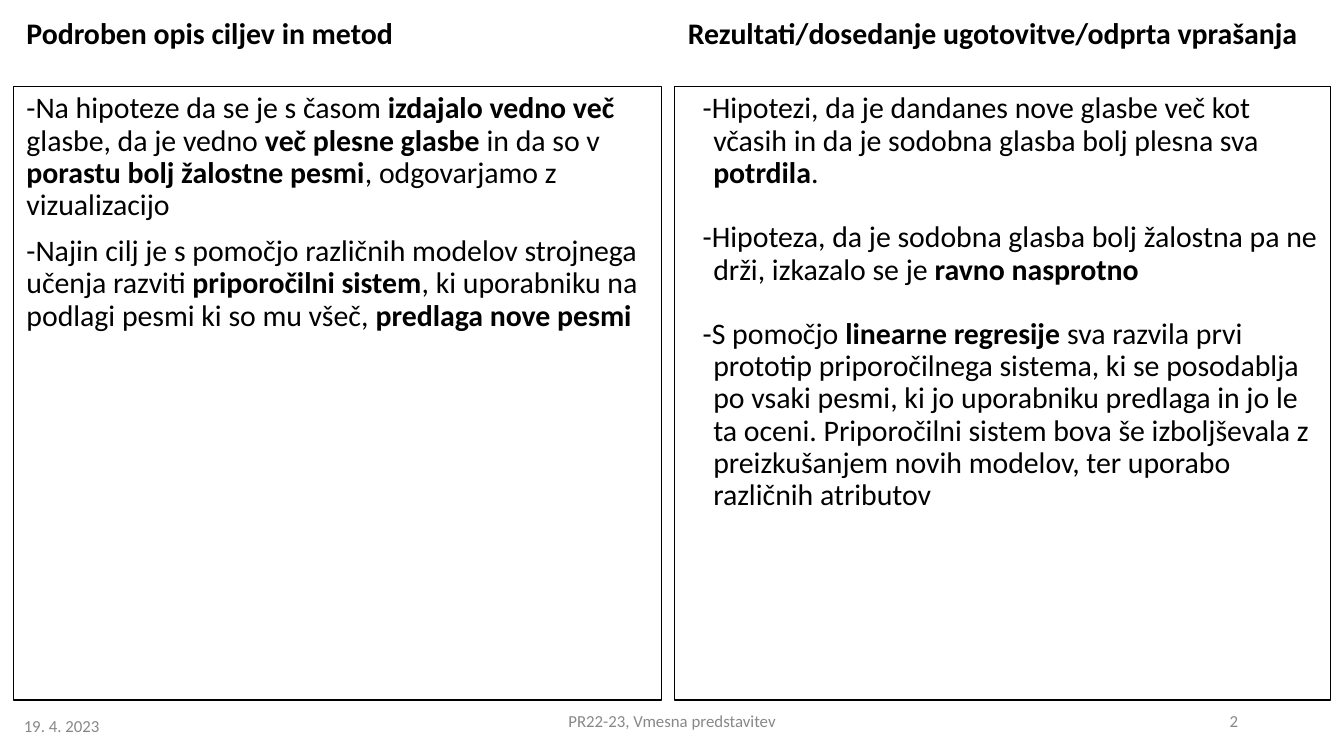
from dataclasses import dataclass
from lxml.etree import SubElement
from pptx import Presentation
from pptx.dml.color import RGBColor
from pptx.enum.text import MSO_ANCHOR, MSO_AUTO_SIZE, PP_ALIGN
from pptx.oxml.ns import qn
from pptx.util import Cm, Pt


@dataclass
class Theme:
    font: str = "Calibri"
    ink: RGBColor = RGBColor(0, 0, 0)
    muted: RGBColor = RGBColor(0x88, 0x88, 0x88)
    text_size: Pt = Pt(16)
    footer_size: Pt = Pt(9)
    border: Pt = Pt(0.75)


theme = Theme()


def place(box, left, top, width, height, anchor=MSO_ANCHOR.TOP):
    box.left, box.top, box.width, box.height = Cm(left), Cm(top), Cm(width), Cm(height)
    frame = box.text_frame
    frame.word_wrap = True
    frame.auto_size = MSO_AUTO_SIZE.NONE
    frame.vertical_anchor = anchor
    frame.margin_left = frame.margin_right = Cm(0.25)
    frame.margin_top = frame.margin_bottom = Cm(0.13)
    return frame


def style(para, size, color, bold=None, align=PP_ALIGN.LEFT):
    para.alignment = align
    para.font.name = theme.font
    para.font.size = size
    para.font.color.rgb = color
    para.font.bold = bold


deck = Presentation()
deck.slide_width, deck.slide_height = Cm(25.4), Cm(14.29)
page = deck.slides.add_slide(deck.slide_layouts.get_by_name("Two Content"))
title, left_body, right_body = page.placeholders
right_title = page.shapes.add_textbox(0, 0, 0, 0)

left_texts = [
    "-Na hipoteze da se je s časom **izdajalo vedno več **glasbe, da je vedno "
    "**več plesne glasbe** in da so v **porastu bolj žalostne pesmi**, "
    "odgovarjamo z vizualizacijo",
    "-Najin cilj je s pomočjo različnih modelov strojnega učenja razviti "
    "**priporočilni sistem**, ki uporabniku na podlagi pesmi ki so mu všeč, "
    "**predlaga nove pesmi**",
]
right_texts = [
    "-Hipotezi, da je dandanes nove glasbe več kot včasih in da je sodobna "
    "glasba bolj plesna sva **potrdila**.",
    "-Hipoteza, da je sodobna glasba bolj žalostna pa ne drži, izkazalo se je "
    "**ravno nasprotno**",
    "-S pomočjo **linearne regresije** sva razvila prvi prototip priporočilnega "
    "sistema, ki se posodablja po vsaki pesmi, ki jo uporabniku predlaga in jo le "
    "ta oceni. Priporočilni sistem bova še izboljševala z preizkušanjem novih "
    "modelov, ter uporabo različnih atributov",
]
columns = [
    (title, "Podroben opis ciljev in metod", left_body, left_texts,
     0.25, 12.25, 0, 0, 7.5),
    (right_title, "Rezultati/dosedanje ugotovitve/odprta vprašanja", right_body,
     right_texts, 12.75, 12.4, 0.48, -0.2, 17.3),
]

for heading, caption, body, texts, left, width, margin, indent, gap in columns:
    frame = place(heading, left, 0.23, width, 1.04)
    frame.text = caption
    para = frame.paragraphs[0]
    para.line_spacing = 0.9
    style(para, theme.text_size, theme.ink, bold=True)

    frame = place(body, left, 1.63, width, 11.6)
    body.line.color.rgb = theme.ink
    body.line.width = theme.border
    for number, text in enumerate(texts):
        para = frame.add_paragraph() if number else frame.paragraphs[0]
        para.line_spacing = 0.9
        para.space_before = Pt(gap if number else 0)
        properties = para._p.get_or_add_pPr()
        properties.set("marL", str(Cm(margin)))
        properties.set("indent", str(Cm(indent)))
        SubElement(properties, qn("a:buNone"))
        style(para, theme.text_size, theme.ink)
        for part, words in enumerate(text.split("**")):
            if words:
                span = para.add_run()
                span.text = words
                span.font.bold = part % 2 == 1

footers = [
    ("19. 4. 2023", 0.2, 13.34, 10.44, PP_ALIGN.LEFT),
    ("PR22-23, Vmesna predstavitev", 8.41, 13.24, 8.58, PP_ALIGN.CENTER),
    ("2", 17.93, 13.24, 5.72, PP_ALIGN.RIGHT),
]
for text, left, top, width, align in footers:
    box = page.shapes.add_textbox(0, 0, 0, 0)
    frame = place(box, left, top, width, 0.76, MSO_ANCHOR.MIDDLE)
    frame.text = text
    style(frame.paragraphs[0], theme.footer_size, theme.muted, align=align)

deck.save("out.pptx")
